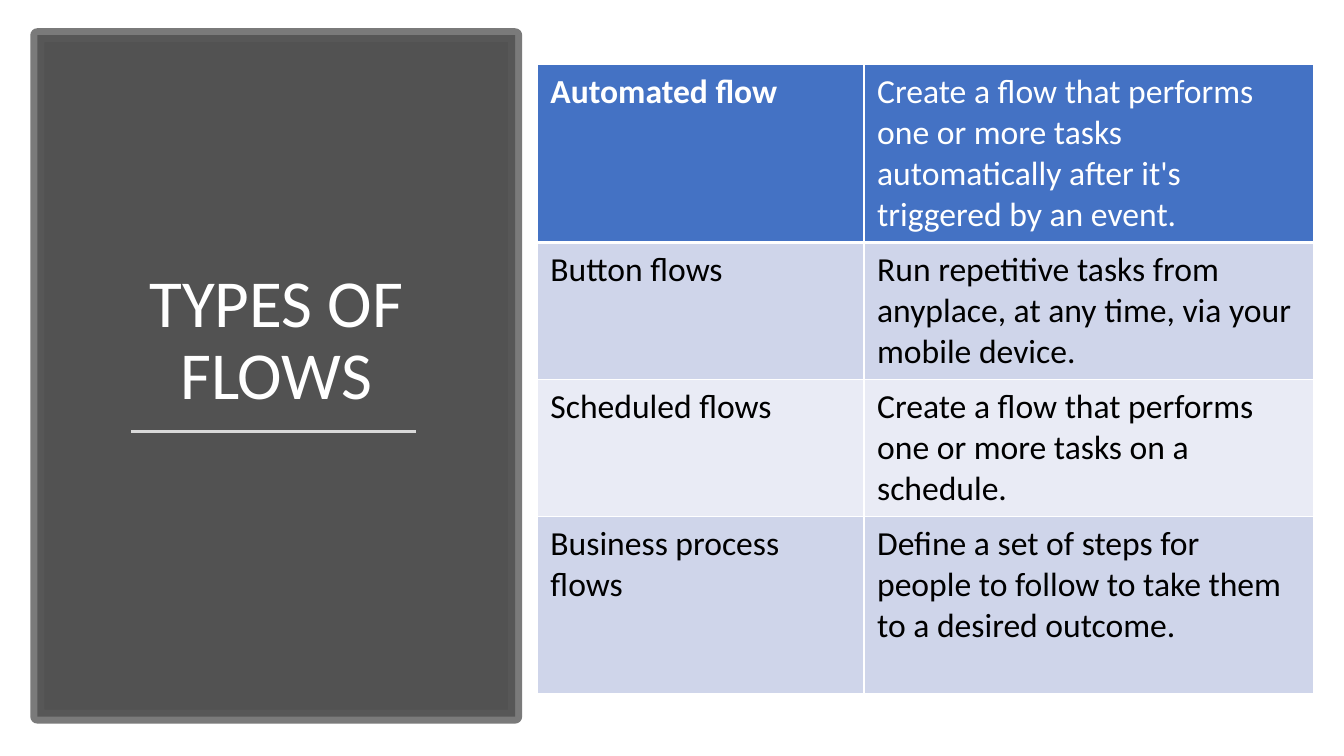
from dataclasses import dataclass

from lxml.etree import SubElement
from pptx import Presentation
from pptx.dml.color import RGBColor
from pptx.enum.shapes import MSO_CONNECTOR, MSO_SHAPE
from pptx.enum.text import MSO_ANCHOR, MSO_AUTO_SIZE, PP_ALIGN
from pptx.oxml.ns import qn
from pptx.util import Emu, Pt

# Content
TITLE = "TYPES OF FLOWS"
FLOWS = [
    ("Automated flow", "Create a flow that performs one or more tasks "
                       "automatically after it's triggered by an event."),
    ("Button flows", "Run repetitive tasks from anyplace, at any time, "
                     "via your mobile device."),
    ("Scheduled flows", "Create a flow that performs one or more tasks "
                        "on a schedule."),
    ("Business process flows", "Define a set of steps for people to follow "
                               "to take them to a desired outcome."),
]

# Layout in px, 100 to the inch
SLIDE = (1333, 750)
PANEL = (37, 35, 474, 676)
TITLE_BOX = (74, 100, 400, 316)
RULE = (130, 428, 413, 428)
TABLE_CORNER = (533, 64)
COLUMN_WIDTHS = (324, 446)
ROW_HEIGHTS = (175, 136, 136, 175)
CELL_MARGINS = (13, 7)


@dataclass(frozen=True)
class Theme:
    font: str = "Calibri"
    title_size: int = 48
    cell_size: int = 24
    white: str = "FFFFFF"
    black: str = "000000"
    panel: str = "404040"
    panel_edge: str = "595959"
    rule: str = "D9D9D9"
    header: str = "4472C4"
    bands: tuple = ("E9EBF5", "CFD5EA")


THEME = Theme()


def px(length):
    return Emu(length * 9144)


def px_all(lengths):
    return [px(length) for length in lengths]


def set_alpha(fill_parent, percent):
    color = fill_parent.find(qn("a:solidFill"))[0]
    SubElement(color, qn("a:alpha"), val=str(percent * 1000))


def style_font(font, size, color, bold=False):
    font.name = THEME.font
    font.size = Pt(size)
    font.bold = bold
    font.color.rgb = RGBColor.from_string(color)


def add_borders(cell, widths):
    properties = cell._tc.get_or_add_tcPr()
    for side, width in widths.items():
        line = SubElement(properties, qn(f"a:ln{side}"), w=str(Pt(width)))
        fill = SubElement(line, qn("a:solidFill"))
        SubElement(fill, qn("a:srgbClr"), val=THEME.white)


def add_panel(page):
    panel = page.shapes.add_shape(MSO_SHAPE.RECTANGLE, *px_all(PANEL))
    panel.shadow.inherit = False
    panel.fill.solid()
    panel.fill.fore_color.rgb = RGBColor.from_string(THEME.panel)
    panel.line.color.rgb = RGBColor.from_string(THEME.panel_edge)
    panel.line.width = Pt(10)
    properties = panel.element.spPr
    set_alpha(properties, 90)
    set_alpha(properties.find(qn("a:ln")), 80)


def place_title(page):
    title = page.shapes.title
    title.left, title.top, title.width, title.height = px_all(TITLE_BOX)
    frame = title.text_frame
    frame.text = TITLE
    frame.word_wrap = True
    frame.auto_size = MSO_AUTO_SIZE.NONE
    frame.vertical_anchor = MSO_ANCHOR.BOTTOM
    para = frame.paragraphs[0]
    para.alignment = PP_ALIGN.CENTER
    para.line_spacing = 0.9
    style_font(para.font, THEME.title_size, THEME.white)
    # Bring the title in front of the panel
    title.element.getparent().append(title.element)


def add_rule(page):
    rule = page.shapes.add_connector(MSO_CONNECTOR.STRAIGHT, *px_all(RULE))
    rule.line.color.rgb = RGBColor.from_string(THEME.rule)
    rule.line.width = Pt(1.75)
    SubElement(rule.element.spPr, qn("a:effectLst"))


def add_flow_table(page):
    size = (sum(COLUMN_WIDTHS), sum(ROW_HEIGHTS))
    table = page.shapes.add_table(len(FLOWS), len(COLUMN_WIDTHS),
                                  *px_all(TABLE_CORNER + size)).table
    for column, width in zip(table.columns, COLUMN_WIDTHS):
        column.width = px(width)
    for row, height in zip(table.rows, ROW_HEIGHTS):
        row.height = px(height)

    for row_index, flow in enumerate(FLOWS):
        is_header = row_index == 0
        fill = THEME.header if is_header else THEME.bands[row_index % 2]
        ink = THEME.white if is_header else THEME.black
        borders = {"L": 1, "R": 1, "T": 3 if row_index == 1 else 1,
                   "B": 3 if is_header else 1}
        for column_index, text in enumerate(flow):
            cell = table.cell(row_index, column_index)
            cell.text = text
            cell.margin_left = cell.margin_right = px(CELL_MARGINS[0])
            cell.margin_top = cell.margin_bottom = px(CELL_MARGINS[1])
            add_borders(cell, borders)
            cell.fill.solid()
            cell.fill.fore_color.rgb = RGBColor.from_string(fill)
            style_font(cell.text_frame.paragraphs[0].font, THEME.cell_size,
                       ink, bold=is_header and column_index == 0)


def main():
    deck = Presentation()
    deck.slide_width, deck.slide_height = px_all(SLIDE)
    page = deck.slides.add_slide(deck.slide_layouts.get_by_name("Title Only"))
    add_panel(page)
    place_title(page)
    add_rule(page)
    add_flow_table(page)
    deck.save("out.pptx")


if __name__ == "__main__":
    main()
